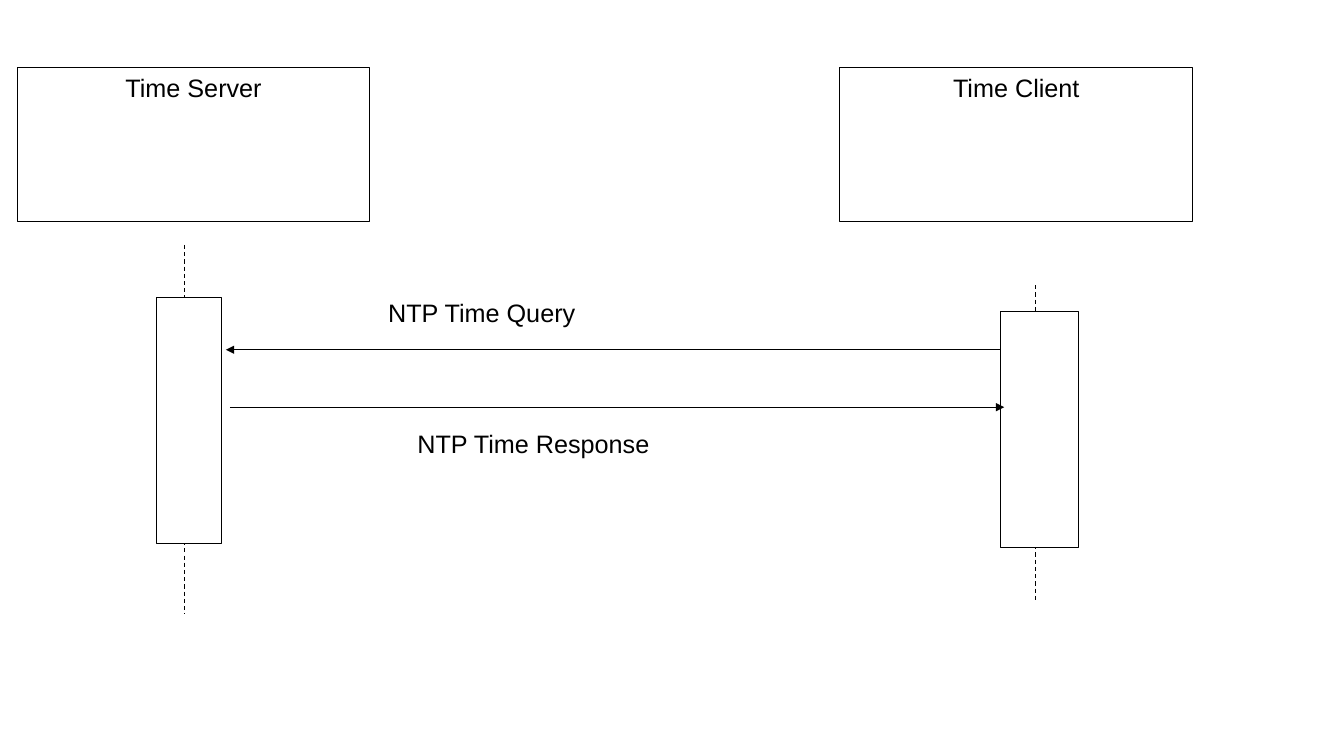
from pptx import Presentation
from pptx.dml.color import RGBColor as RGB
from pptx.enum.dml import MSO_LINE as Dash
from pptx.enum.shapes import MSO_CONNECTOR as Conn, MSO_SHAPE as Shape
from pptx.enum.text import MSO_ANCHOR as Anchor, PP_ALIGN as Align
from pptx.oxml.ns import qn
from pptx.util import Pt
from lxml.etree import SubElement as Sub

PX = 9144
INK = {"line": "000000", "fill": "FFFFFF", "text": "000000"}


def px(*nums):
    """Turn px lengths into EMU."""
    return [n * PX for n in nums]


def color(name):
    """Look up a colour by its role."""
    return RGB.from_string(INK[name])


def write(frame, text, align):
    """Set one line of text at the top of a frame."""
    frame.word_wrap = True
    frame.vertical_anchor = Anchor.TOP
    para = frame.paragraphs[0]
    para.alignment = align
    run = para.add_run()
    run.text = text
    run.font.name = "Arial"
    run.font.size = Pt(18)
    run.font.color.rgb = color("text")


def block(slide, box):
    """Draw an outlined rectangle."""
    rect = slide.shapes.add_shape(Shape.RECTANGLE, *px(*box))
    rect.shadow.inherit = False
    rect.fill.solid()
    rect.fill.fore_color.rgb = color("fill")
    rect.line.color.rgb = color("line")
    rect.line.width = Pt(0.75)
    return rect


def rule(slide, start, end):
    """Draw a thin straight line."""
    line = slide.shapes.add_connector(Conn.STRAIGHT, *px(*start, *end))
    line.line.color.rgb = color("line")
    line.line.width = Pt(0.75)
    Sub(line._element.spPr, qn("a:effectLst"))
    return line


def actor(slide, box, name, axis, span, bar):
    """Draw a named head, its dashed lifeline and its active bar."""
    left, top, wide, high = box
    head = block(slide, box)
    write(head.text_frame, name, Align.CENTER)
    x = left + axis
    life = rule(slide, (x, top + span[0]), (x, top + span[1]))
    life.line.dash_style = Dash.DASH
    dx, dy, w, h = bar
    block(slide, (left + dx, top + dy, w, h))


def message(slide, start, end, box, text):
    """Draw an arrow between two bars with its label."""
    arrow = rule(slide, start, end)
    Sub(arrow.line._get_or_add_ln(), qn("a:tailEnd"), type="triangle")
    label = slide.shapes.add_textbox(*px(*box)).text_frame
    label.margin_left = label.margin_right = 0
    label.margin_top = label.margin_bottom = 0
    write(label, text, Align.LEFT)


def main():
    """Build the time sync sequence slide."""
    deck = Presentation()
    deck.slide_width, deck.slide_height = px(1333, 750)
    slide = deck.slides.add_slide(deck.slide_layouts[6])
    actor(slide, (17, 67, 350, 153), "Time Server",
          166, (176, 542), (138, 228, 65, 244))
    actor(slide, (833, 67, 350, 153), "Time Client",
          194, (216, 528), (159, 242, 78, 234))
    message(slide, (992, 347), (224, 347),
            (385, 295, 467, 82), "NTP Time Query")
    message(slide, (228, 404), (996, 404),
            (414, 425, 467, 82), "NTP Time Response")
    deck.save("out.pptx")


if __name__ == "__main__":
    main()
